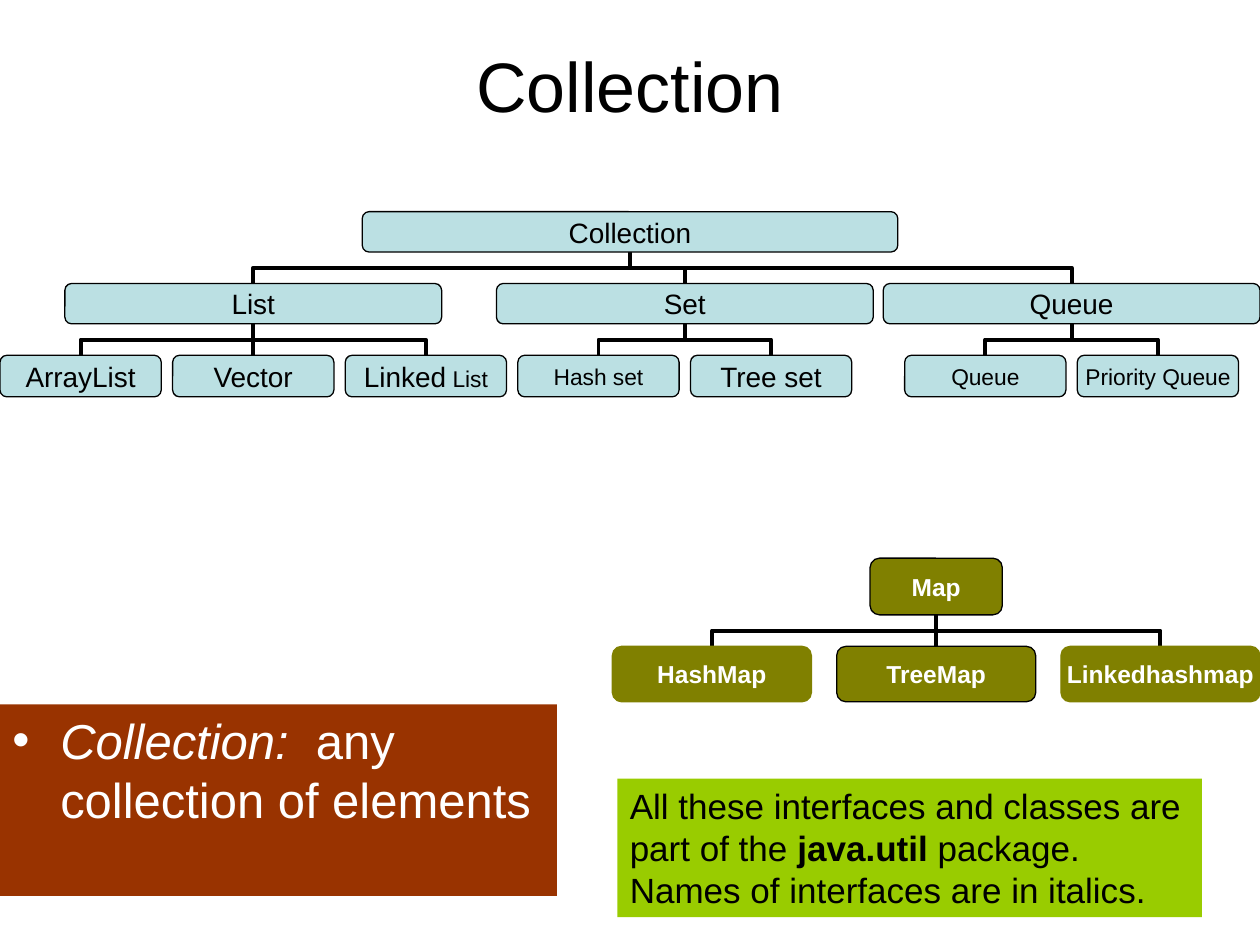
from pptx import Presentation
from pptx.dml.color import RGBColor
from pptx.enum.shapes import MSO_CONNECTOR as Connector, MSO_SHAPE as Shape
from pptx.enum.text import MSO_ANCHOR as Anchor, PP_ALIGN as Align
from pptx.oxml import parse_xml
from pptx.oxml.ns import nsdecls, qn
from pptx.util import Inches, Pt

BLACK, WHITE = "000000", "FFFFFF"
PALE_BLUE, OLIVE, RUST, LIME = "BBE0E3", "808000", "993300", "99CC00"


def color(value):
    return RGBColor.from_string(value)


class SlideWriter:
    """Holds the text and line style together with the slide being filled."""

    font = "Arial"
    link_width = Pt(2.25)
    border_width = Pt(0.75)

    def __init__(self, slide):
        self.slide = slide

    def add_runs(self, para, runs, ink):
        """Add (text, size, style) runs, where style may hold b and i."""
        for text, size, style in runs:
            span = para.add_run()
            span.text = text
            span.font.name = self.font
            span.font.size = Pt(size)
            span.font.bold = "b" in style
            span.font.italic = "i" in style
            span.font.color.rgb = color(ink)

    def text(self, left, top, width, height, runs, ink=BLACK, fill=None,
             align=Align.LEFT, anchor=Anchor.TOP, before=0):
        box = self.slide.shapes.add_textbox(
            Inches(left), Inches(top), Inches(width), Inches(height))
        if fill:
            box.fill.solid()
            box.fill.fore_color.rgb = color(fill)
        frame = box.text_frame
        frame.word_wrap = True
        frame.vertical_anchor = anchor
        para = frame.paragraphs[0]
        para.alignment = align
        para.space_before = Pt(before)
        self.add_runs(para, runs, ink)
        return para

    def bullet(self, para, indent, ink):
        props = para._p.get_or_add_pPr()
        props.set("marL", str(Inches(indent)))
        props.set("indent", str(-Inches(indent)))
        for xml in (
            f'<a:buClr {nsdecls("a")}><a:srgbClr val="{ink}"/></a:buClr>',
            f'<a:buFont {nsdecls("a")} typeface="{self.font}"/>',
            f'<a:buChar {nsdecls("a")} char="•"/>',
        ):
            props.append(parse_xml(xml))

    def node(self, center, top, width, height, runs, fill, ink, border=BLACK,
             inset=(0.01, 0)):
        box = self.slide.shapes.add_shape(
            Shape.ROUNDED_RECTANGLE, Inches(center - width / 2), Inches(top),
            Inches(width), Inches(height))
        box.shadow.inherit = False
        box.fill.solid()
        box.fill.fore_color.rgb = color(fill)
        box.line.color.rgb = color(border)
        box.line.width = self.border_width
        frame = box.text_frame
        frame.word_wrap = False
        frame.vertical_anchor = Anchor.MIDDLE
        frame.margin_left = frame.margin_right = Inches(inset[0])
        frame.margin_top = frame.margin_bottom = Inches(inset[1])
        para = frame.paragraphs[0]
        para.alignment = Align.CENTER
        self.add_runs(para, runs, ink)

    def link(self, parent_x, parent_bottom, child_x, child_top):
        """Join parent to child, going down, across and down again."""
        drop, reach = child_top - parent_bottom, parent_x - child_x
        straight = abs(reach) < 0.01
        if straight:
            kind = Connector.STRAIGHT
            ends = (parent_x, parent_bottom, parent_x, child_top)
        else:
            # An elbow starts sideways, so lay it flat and turn it by 90 degrees.
            kind = Connector.ELBOW
            mid_x, mid_y = (parent_x + child_x) / 2, (parent_bottom + child_top) / 2
            ends = (mid_x - drop / 2, mid_y - reach / 2,
                    mid_x + drop / 2, mid_y + reach / 2)
        line = self.slide.shapes.add_connector(kind, *map(Inches, ends))
        line.line.color.rgb = color(BLACK)
        line.line.width = self.link_width
        props = line._element.spPr
        props.append(parse_xml(f'<a:effectLst {nsdecls("a")}/>'))
        if not straight:
            props.find(qn("a:xfrm")).set("rot", "5400000")


def draw_collection_tree(writer):
    root_x, root_top, middle_top, leaf_top = 5, 1.68, 2.25, 2.82
    height, leaf_height, leaf_width, pitch = 0.32, 0.33, 1.28, 1.37
    branches = [
        ("List", 0.64, [[("ArrayList", 16, "")], [("Vector", 16, "")],
                        [("Linked", 16, ""), (" List", 13, "")]]),
        ("Set", 4.75, [[("Hash set", 13, "")], [("Tree set", 16, "")]]),
        ("Queue", 7.82, [[("Queue", 13, "")], [("Priority Queue", 13, "")]]),
    ]
    parents, leaves = [], []
    for name, first_x, labels in branches:
        branch_x = first_x + pitch * (len(labels) - 1) / 2
        parents.append((name, branch_x))
        writer.link(root_x, root_top + height, branch_x, middle_top)
        for i, runs in enumerate(labels):
            leaf_x = first_x + i * pitch
            leaves.append((runs, leaf_x))
            writer.link(branch_x, middle_top + height, leaf_x, leaf_top)

    writer.node(root_x, root_top, 4.25, height, [("Collection", 16, "")],
                PALE_BLUE, BLACK)
    for name, x in parents:
        writer.node(x, middle_top, 2.99, height, [(name, 16, "")], PALE_BLUE, BLACK)
    for runs, x in leaves:
        writer.node(x, leaf_top, leaf_width, leaf_height, runs, PALE_BLUE, BLACK)


def draw_map_tree(writer):
    root_x, root_top, root_height, leaf_top, pitch = 7.43, 4.43, 0.45, 5.13, 1.78
    inset = (0.08, 0.04)
    leaves = [("HashMap", root_x - pitch, OLIVE), ("TreeMap", root_x, BLACK),
              ("Linkedhashmap", root_x + pitch, OLIVE)]
    for _, x, _ in leaves:
        writer.link(root_x, root_top + root_height, x, leaf_top)
    writer.node(root_x, root_top, 1.05, root_height, [("Map", 14, "b")],
                OLIVE, WHITE, inset=inset)
    for name, x, border in leaves:
        writer.node(x, leaf_top, 1.58, 0.44, [(name, 14, "b")],
                    OLIVE, WHITE, border, inset)


def main():
    deck = Presentation()
    deck.slide_width, deck.slide_height = Inches(10), Inches(7.5)
    page = deck.slides.add_slide(deck.slide_layouts[6])
    writer = SlideWriter(page)

    writer.text(0.5, 0.3, 9, 0.74, [("Collection", 40, "")],
                align=Align.CENTER, anchor=Anchor.MIDDLE)
    definition = writer.text(
        0, 5.59, 4.42, 1.52,
        [("Collection:", 28, "i"), ("  any collection of elements", 28, "")],
        ink=WHITE, fill=RUST, before=7)
    writer.bullet(definition, 0.38, WHITE)
    draw_collection_tree(writer)
    writer.text(
        4.9, 6.18, 4.64, 1.1,
        [("All these interfaces and classes are part of the ", 20, ""),
         ("java.util", 20, "b"),
         (" package. Names of interfaces are in italics.", 20, "")],
        fill=LIME, before=12.5)
    draw_map_tree(writer)
    deck.save("out.pptx")


if __name__ == "__main__":
    main()
